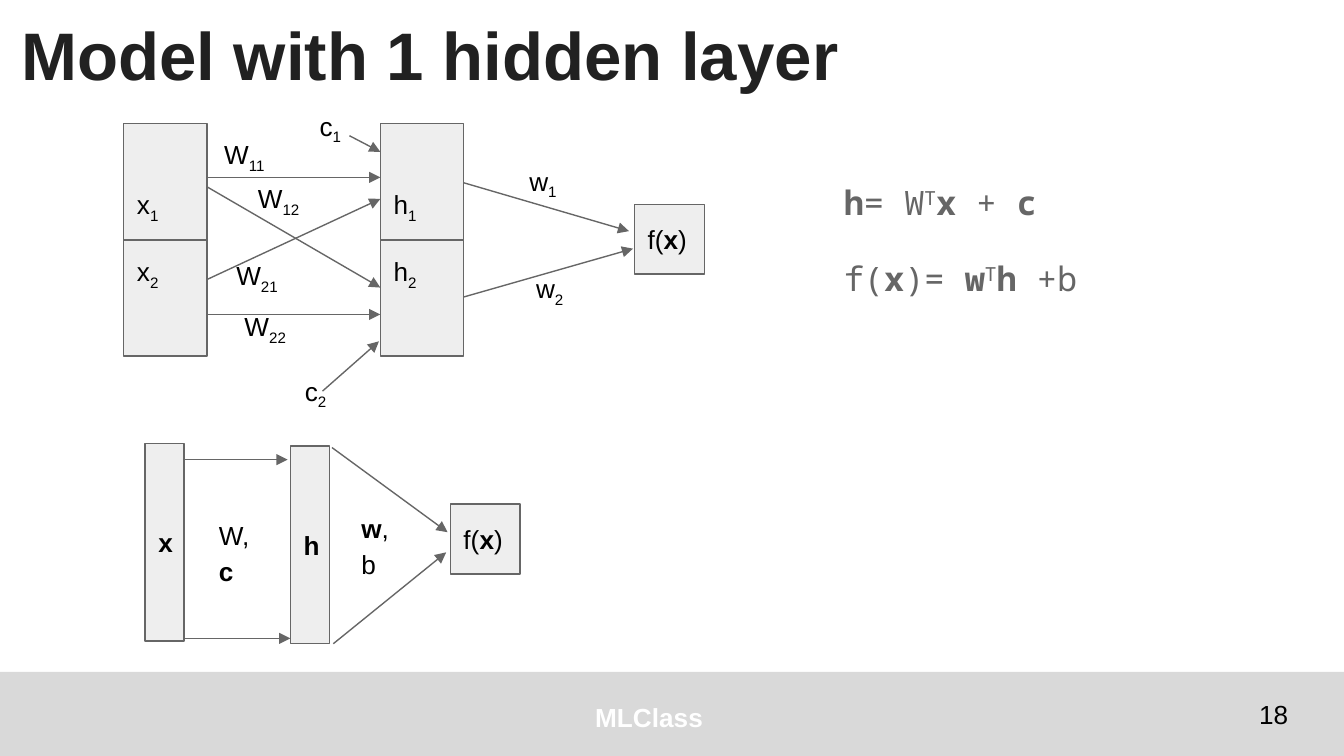
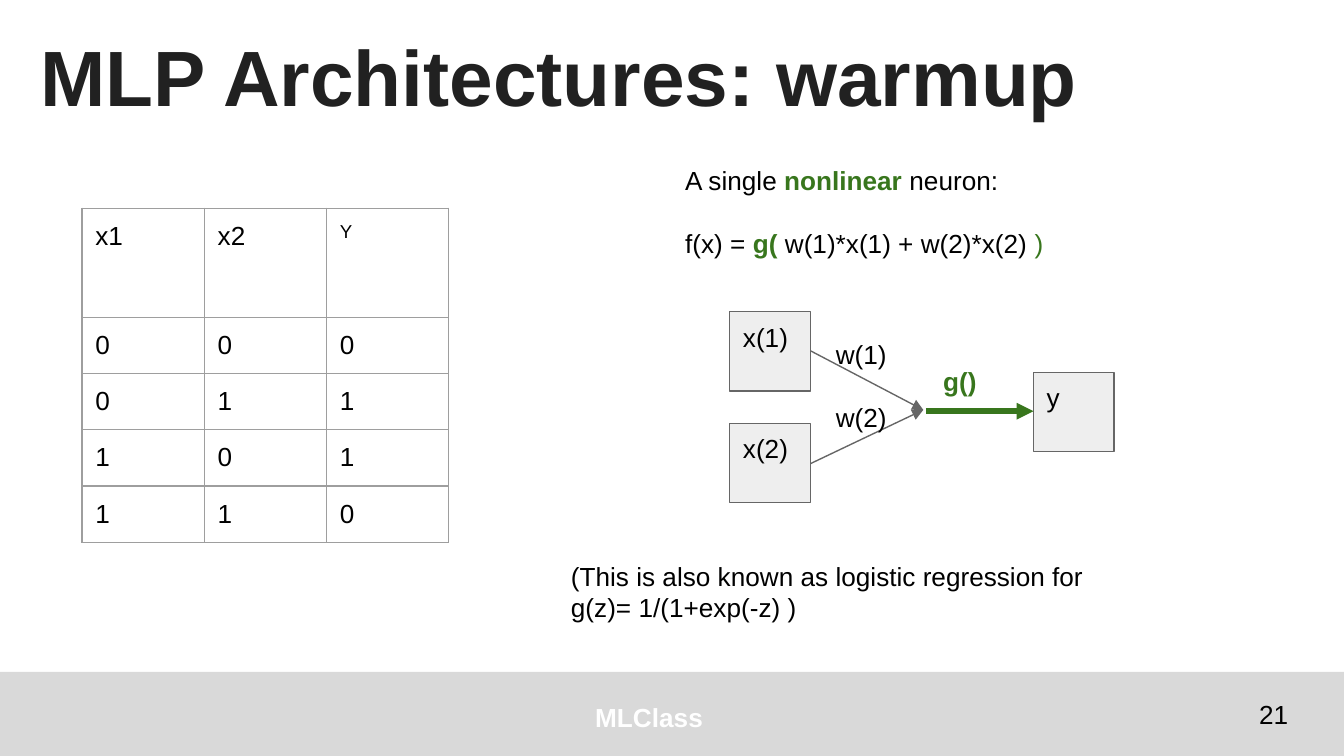
"""Builds two slides on small neural networks, on a grid of 0.1 inch columns and rows."""
from lxml import etree
from pptx import Presentation
from pptx import util as u
from pptx.dml.color import RGBColor
from pptx.enum import shapes, text
from pptx.oxml.ns import qn

BLACK, WHITE, GREY, GREEN = "000000", "FFFFFF", "666666", "38761D"
INK, BAND, NODE, RULE = "212121", "D9D9D9", "EEEEEE", "9E9E9E"
SANS, MONO = "Arial", "Noto Sans Mono"
TOP, MIDDLE = text.MSO_ANCHOR.TOP, text.MSO_ANCHOR.MIDDLE


def grid(*cells):
    """Turn counts of grid cells into lengths."""
    return [u.Inches(n / 10) for n in cells]


def paint(color, hexa):
    """Set a colour format from a hex string."""
    color.rgb = RGBColor.from_string(hexa)


def write(tf, paras, size=14, font=SANS, color=BLACK, anchor=TOP, top=1,
          align=None, lines=None, before=0, after=0):
    """Fill a frame; a run is (text, flags): b bold, g green, - subscript, + superscript."""
    tf.word_wrap = True
    tf.auto_size = text.MSO_AUTO_SIZE.NONE
    tf.vertical_anchor = anchor
    tf.margin_left, tf.margin_top, tf.margin_right, tf.margin_bottom = grid(1, top, 1, 1)
    for i, runs in enumerate(paras):
        p = tf.paragraphs[0] if i == 0 else tf.add_paragraph()
        p.alignment = align or text.PP_ALIGN.LEFT
        p.line_spacing = lines
        p.space_before = u.Pt(before if i else 0)
        p.space_after = u.Pt(after)
        p.font.name, p.font.size = font, u.Pt(size)
        paint(p.font.color, color)
        for words, flags in [(runs, "")] if isinstance(runs, str) else runs:
            r = p.add_run()
            r.text = words
            r.font.bold = "b" in flags
            if "g" in flags:
                paint(r.font.color, GREEN)
            for mark, shift in (("-", "-25000"), ("+", "30000")):
                if mark in flags:
                    r.font._element.set("baseline", shift)


def sub(name, index):
    """Give the runs of a name with a subscript."""
    return [(name, ""), (index, "-")]


def label(s, at, *paras, **style):
    """Add a text box."""
    write(s.shapes.add_textbox(*grid(*at)).text_frame, paras, **style)


def rect(s, at, fill, line=None):
    """Add a plain rectangle."""
    sp = s.shapes.add_shape(shapes.MSO_SHAPE.RECTANGLE, *grid(*at))
    sp.shadow.inherit = False
    sp.fill.solid()
    paint(sp.fill.fore_color, fill)
    if line:
        paint(sp.line.color, line)
        sp.line.width = u.Pt(0.75)
    else:
        sp.line.fill.background()
    return sp


def node(s, at, *paras, anchor=MIDDLE, **style):
    """Add a grey box with text."""
    write(rect(s, at, NODE, GREY).text_frame, paras, anchor=anchor, **style)


def line(s, ends, color=GREY, width=0.75, arrow=True):
    """Add a straight line, by default with an arrowhead at its end."""
    cx = s.shapes.add_connector(shapes.MSO_CONNECTOR.STRAIGHT, *grid(*ends))
    paint(cx.line.color, color)
    cx.line.width = u.Pt(width)
    pr = cx.element.spPr
    if arrow:
        etree.SubElement(pr.find(qn("a:ln")), qn("a:tailEnd"), type="triangle")
    etree.SubElement(pr, qn("a:effectLst"))


def border(cell):
    """Draw thin rules round a table cell."""
    pr = cell._tc.get_or_add_tcPr()
    for i, side in enumerate("LRTB"):
        ln = etree.Element(qn("a:ln" + side), w=str(u.Pt(0.75)))
        fill = etree.SubElement(ln, qn("a:solidFill"))
        etree.SubElement(fill, qn("a:srgbClr"), val=RULE)
        pr.insert(i, ln)


def truth_table(s, left, top, col, heights, rows):
    """Add a ruled table with equal columns."""
    n = len(rows[0])
    tbl = s.shapes.add_table(len(rows), n, *grid(left, top, col * n, sum(heights))).table
    tbl.first_row = tbl.horz_banding = False
    for i, row in enumerate(rows):
        tbl.rows[i].height = grid(heights[i])[0]
        for j, value in enumerate(row):
            cell = tbl.cell(i, j)
            cell.fill.background()
            border(cell)
            cell.margin_left, cell.margin_top, cell.margin_right, cell.margin_bottom = grid(1, 1, 1, 1)
            p = cell.text_frame.paragraphs[0]
            p.text = value
            p.font.name, p.font.size = SANS, u.Pt(10 if value == "Y" else 14)
            paint(p.font.color, BLACK)


def start_slide(prs, title, left, top, size, number):
    """Add a slide with its title, footer band and number."""
    s = prs.slides.add_slide(prs.slide_layouts[5])
    rect(s, (0, 50, 100, 6.25), BAND)
    label(s, (40, 51.2, 16.6, 4), [("MLClass", "b")], color=WHITE, align=text.PP_ALIGN.CENTER)
    sp = s.shapes.title
    sp.left, sp.top, sp.width, sp.height = grid(left, top, 93.2, 8.8)
    write(sp.text_frame, [[(title, "b")]], size=size, color=INK)
    label(s, (92.7, 51, 6, 4.3), number, anchor=MIDDLE)
    return s


def full_network(s):
    """Draw the network with every weight shown."""
    top, width, height = 9.2, 6.2, 17.3
    for name, left in (("x", 9.2), ("h", 28.3)):
        node(s, (left, top, width, height), sub(name, "1"), sub(name, "2"), before=17)
        middle = top + height / 2
        line(s, (left, middle, left + width, middle), arrow=False)
    for y1, y2 in ((20.8, 14.8), (13.2, 13.2), (23.4, 23.4), (13.9, 21.4)):
        line(s, (15.4, y1, 28.3, y2))
    for ends in ((26, 10.1, 28.3, 11.3), (24, 29.1, 28.2, 25.4),
                 (34.5, 13.6, 46.8, 17.2), (34.5, 22.1, 47.1, 18.5)):
        line(s, ends)
    for name, index, x, y in (("W", "11", 15.7, 9.3), ("W", "12", 18.2, 12.6),
                              ("W", "21", 16.6, 18.3), ("W", "22", 17.2, 22.1),
                              ("w", "1", 38.4, 11.3), ("w", "2", 38.9, 19.3),
                              ("c", "1", 22.8, 7.2), ("c", "2", 21.7, 26.9)):
        label(s, (x, y, 7.4, 5.2), sub(name, index))


def vector_network(s):
    """Draw the same network with whole layers as vectors."""
    for name, left, top in (("x", 10.8, 33), ("h", 21.6, 33.2)):
        node(s, (left, top, 2.9, 14.7), [(name, "b")])
    for ends in ((13.6, 34.2, 21.4, 34.2), (13.8, 47.5, 21.6, 47.5),
                 (24.7, 33.3, 33.3, 39.6), (24.8, 47.9, 33.2, 41.1)):
        line(s, ends)
    label(s, (15.3, 37.3, 7.4, 3.6), "W,", [("c", "b")], lines=1.15)
    label(s, (25.9, 36.8, 5.2, 3.6), [("w", "b"), (", b", "")], lines=1.15)


def hidden_layer_slide(prs):
    """Build the slide on the model with one hidden layer."""
    s = start_slide(prs, "Model with 1 hidden layer", 0.6, 0, 36, "18")
    full_network(s)
    vector_network(s)
    for left, top in ((47.2, 15.2), (33.5, 37.5)):
        node(s, (left, top, 5.2, 5.2), [("f(", ""), ("x", "b"), (")", "")])
    label(s, (61.8, 9.8, 23.8, 15.7),
          [("h", "b"), ("= W", ""), ("T", "+"), ("x", "b"), (" + ", ""), ("c", "b")],
          [("f(", ""), ("x", "b"), (")= ", ""), ("w", "b"), ("T", "+"), ("h", "b"), (" +b", "")],
          size=18, font=MONO, color=GREY, anchor=MIDDLE, lines=1.15, after=16)


def warmup_slide(prs):
    """Build the slide on the single nonlinear neuron."""
    s = start_slide(prs, "MLP Architectures: warmup", 2, 1.1, 42, "21")
    truth_table(s, 6.1, 15.5, 9.1, [8.1] + [3.8] * 4,
                [("x1", "x2", "Y"), *("000", "011", "101", "110")])
    for name, left, top in (("x(1)", 54.3, 23.2), ("x(2)", 54.3, 31.5), ("y", 76.9, 27.7)):
        node(s, (left, top, 6, 5.9), name, anchor=TOP, top=0.7)
    for y in (26.1, 34.5):
        line(s, (60.3, y, 68.7, 30.5))
    line(s, (68.9, 30.6, 76.9, 30.6), GREEN, 3)
    label(s, (61.2, 24.2, 11.2, 10.7), "w(1)", "w(2)", before=17)
    label(s, (69.2, 26.2, 7.3, 6.7), [("g()", "b")], color=GREEN)
    label(s, (50, 11.2, 35.3, 10.7),
          [("A single ", ""), ("nonlinear", "bg"), (" neuron:", "")],
          [("f(x) = ", ""), ("g(", "bg"), (" w(1)*x(1) + w(2)*x(2) ", ""), (")", "g")], before=17)
    label(s, (41.5, 40.7, 41.4, 6.7),
          "(This is also known as logistic regression for", "g(z)= 1/(1+exp(-z) )")


def main():
    """Build and save the slides."""
    prs = Presentation()
    prs.slide_width, prs.slide_height = grid(100, 56.25)
    hidden_layer_slide(prs)
    warmup_slide(prs)
    prs.save("out.pptx")


if __name__ == "__main__":
    main()
